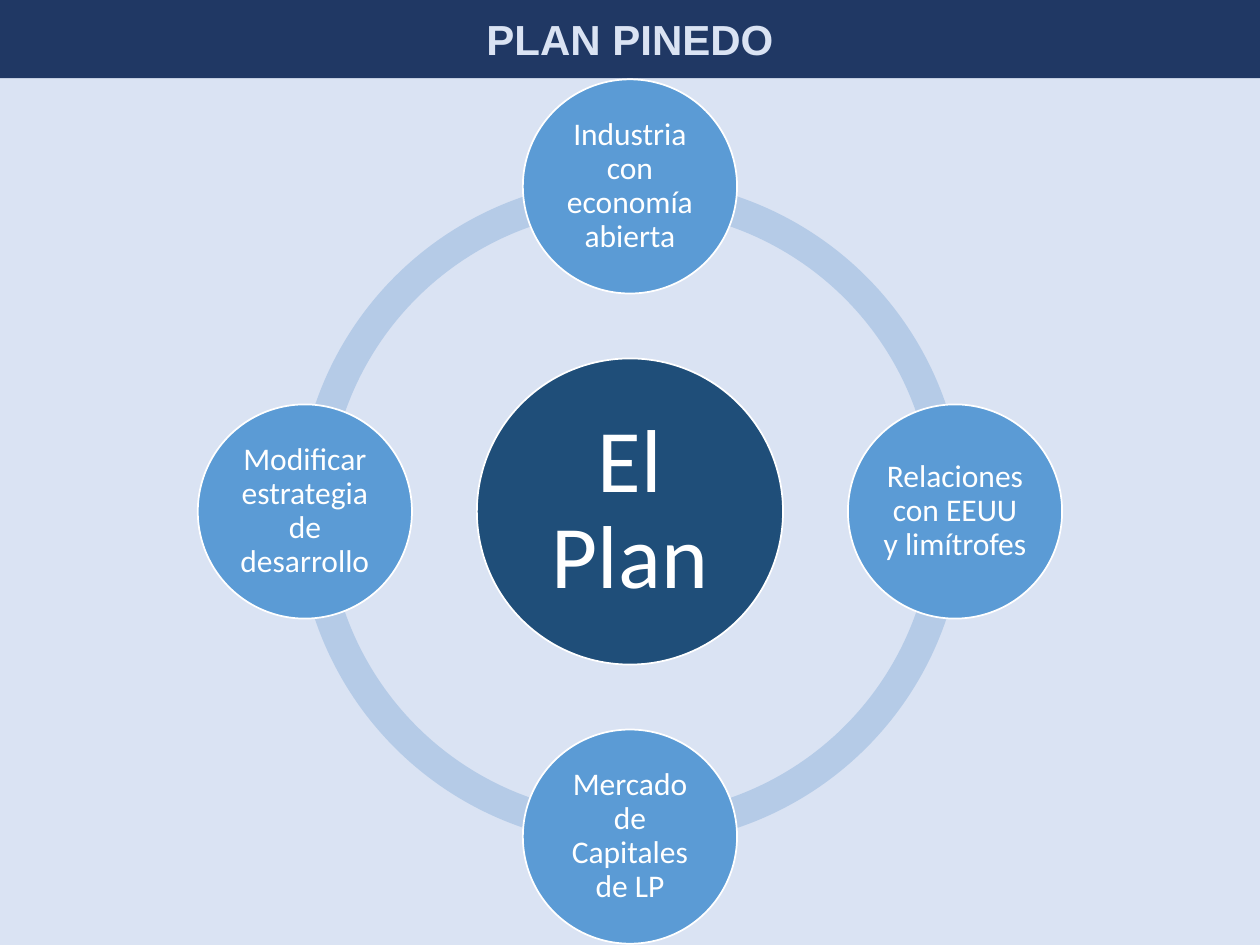
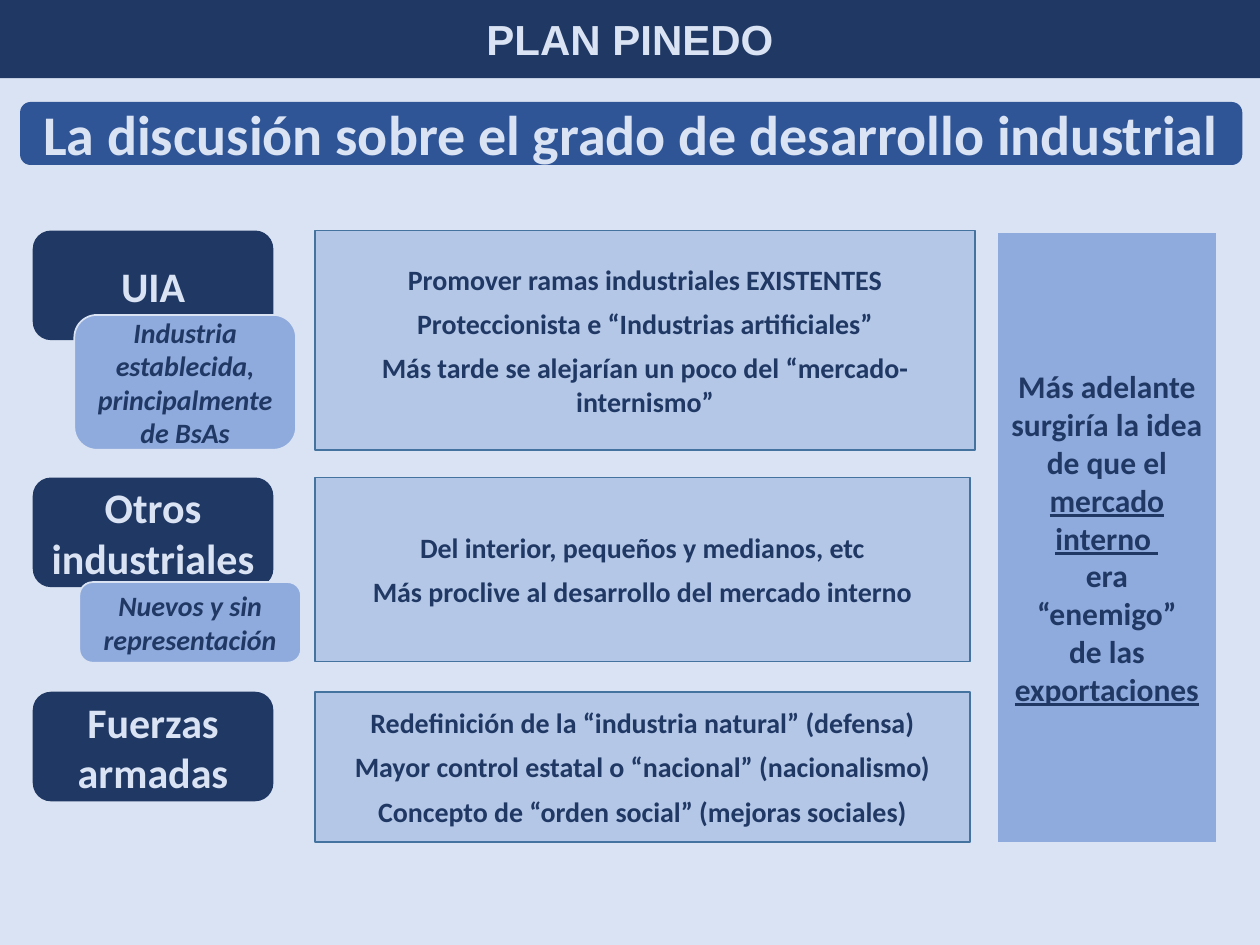
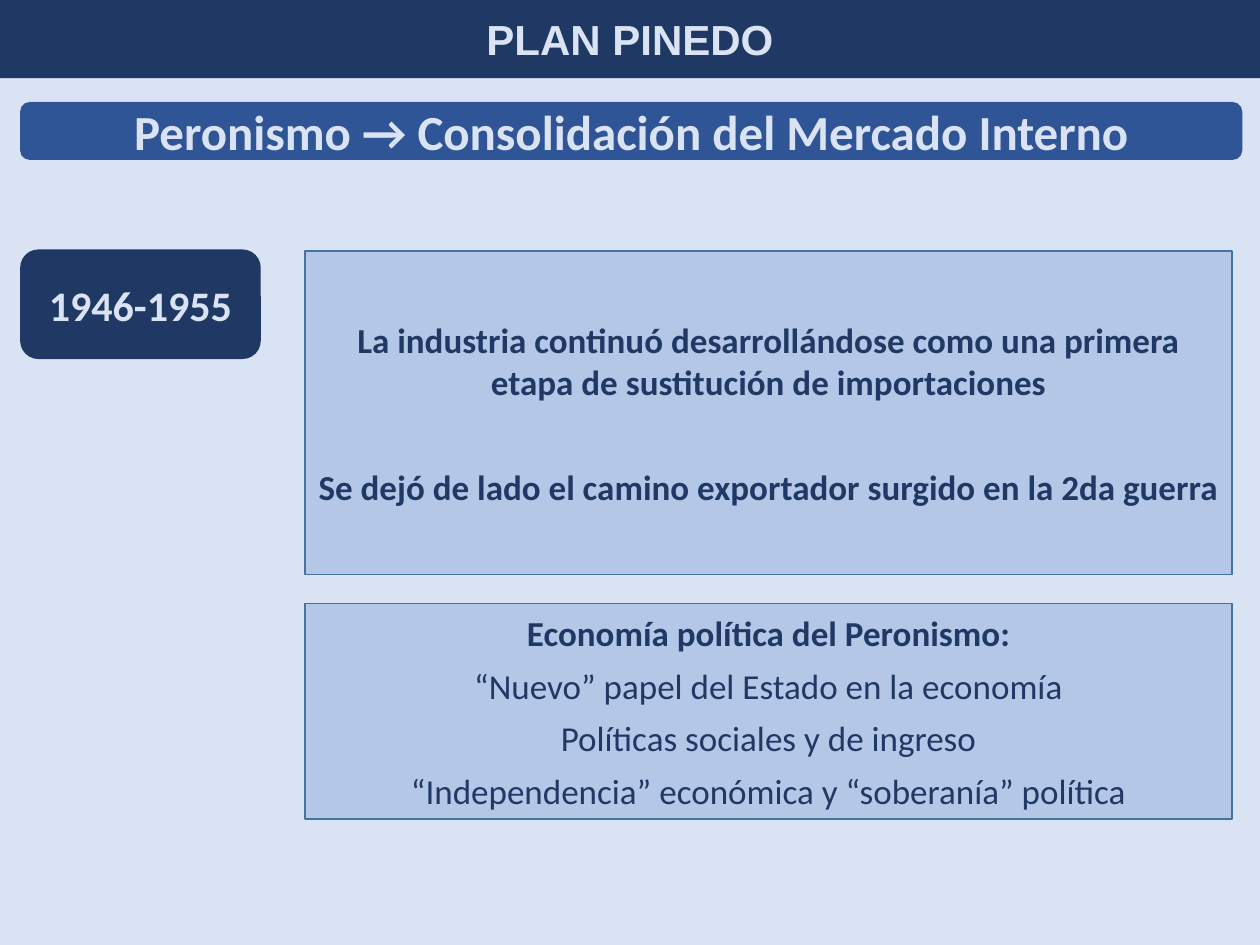
from pptx import Presentation
from pptx.dml.color import RGBColor
from pptx.enum.shapes import MSO_SHAPE
from pptx.enum.text import MSO_ANCHOR, MSO_AUTO_SIZE, PP_ALIGN
from pptx.util import Inches, Pt

HEX = {
    "pale": "DAE3F3", "navy": "203864", "royal": "2F5597", "soft": "8FAADC",
    "light": "B4C7E7", "edge": "43739E", "ring": "B5CBE7", "hub": "1F4E79",
    "node": "5B9BD5", "white": "FFFFFF",
}
RGB = {name: RGBColor.from_string(code) for name, code in HEX.items()}
RECT, ROUND, OVAL = MSO_SHAPE.RECTANGLE, MSO_SHAPE.ROUNDED_RECTANGLE, MSO_SHAPE.OVAL


def write(shape, lines, size, color, bold=True, face="Calibri", gap=0):
    frame = shape.text_frame
    frame.word_wrap = True
    frame.auto_size = MSO_AUTO_SIZE.NONE
    frame.vertical_anchor = MSO_ANCHOR.MIDDLE
    frame.text = "\n".join(lines)
    for i, para in enumerate(frame.paragraphs):
        para.alignment = PP_ALIGN.CENTER
        if i and gap:
            para.space_before = Pt(gap)
        font = para.font
        font.name, font.size, font.bold = face, Pt(size), bold
        font.color.rgb = RGB[color]
    return frame


def draw(slide, kind, spot, fill, edge=None):
    shape = slide.shapes.add_shape(kind, *[Inches(v) for v in spot])
    shape.shadow.inherit = False
    shape.fill.solid()
    shape.fill.fore_color.rgb = RGB[fill]
    if edge:
        shape.line.color.rgb = RGB[edge]
        shape.line.width = Pt(1)
    else:
        shape.line.fill.background()
    return shape


deck = Presentation()
deck.slide_width, deck.slide_height = Inches(10), Inches(7.5)
back = deck.slide_master.background.fill
back.solid()
back.fore_color.rgb = RGB["pale"]

slides = []
for n in range(3):
    slide = deck.slides.add_slide(deck.slide_layouts[5])
    title = slide.shapes.title
    title.left, title.top = Inches(0), Inches(0)
    title.width, title.height = Inches(10), Inches(0.62)
    title.fill.solid()
    title.fill.fore_color.rgb = RGB["navy"]
    write(title, ["PLAN PINEDO"], 24, "pale", face="Arial")
    slides.append(slide)
plan, debate, market = slides

for start, end in [(108, 162), (54, 108), (0, 54), (162, 0)]:
    arc = draw(plan, MSO_SHAPE.BLOCK_ARC, (2.36, 1.42, 5.29, 5.29), "ring")
    for i, value in enumerate((start, end, 0.046)):
        arc.adjustments[i] = value

mid_x, mid_y, reach = 5, 4.06, 2.58
discs = [
    ("El Plan", 0, 0, 2.43, "hub", 51, 0.07),
    ("Industria con economía abierta", 0, -1, 1.7, "node", 18, 0.03),
    ("Relaciones con EEUU y limítrofes", 1, 0, 1.7, "node", 18, 0.03),
    ("Mercado de Capitales de LP", 0, 1, 1.7, "node", 18, 0.03),
    ("Modificar estrategia de desarrollo", -1, 0, 1.7, "node", 18, 0.03),
]
for text, dx, dy, wide, fill, size, pad in discs:
    spot = (mid_x + dx * reach - wide / 2, mid_y + dy * reach - wide / 2, wide, wide)
    frame = write(draw(plan, OVAL, spot, fill, "white"), [text], size, "white", False)
    frame.margin_left = frame.margin_right = Inches(pad)
    frame.margin_top = frame.margin_bottom = Inches(pad)
    frame.paragraphs[0].line_spacing = 0.9

heads = [
    (debate, "La discusión sobre el grado de desarrollo industrial", 0.5, 32),
    (market, "Peronismo → Consolidación del Mercado Interno", 0.46, 28),
]
for slide, text, high, size in heads:
    write(draw(slide, ROUND, (0.16, 0.81, 9.7, high), "royal"), [text], size, "pale")

labels = [
    (debate, "UIA", 0.26, 1.83),
    (debate, "Otros industriales", 0.26, 3.79),
    (debate, "Fuerzas armadas", 0.26, 5.49),
    (market, "1946-1955", 0.16, 1.98),
]
for slide, text, left, top in labels:
    write(draw(slide, ROUND, (left, top, 1.91, 0.87), "navy"), [text], 24, "pale")

notes = [
    ("Industria establecida, principalmente de BsAs", (0.59, 2.5, 1.76, 1.07)),
    ("Nuevos y sin representación", (0.63, 4.62, 1.76, 0.64)),
]
for text, spot in notes:
    frame = write(draw(debate, ROUND, spot, "soft", "pale"), [text], 16, "navy")
    frame.paragraphs[0].font.italic = True

panels = [
    (debate, (2.5, 1.83, 5.24, 1.74), 16, [
        "Promover ramas industriales EXISTENTES",
        "Proteccionista e “Industrias artificiales”",
        "Más tarde se alejarían un poco del “mercado-internismo”"]),
    (debate, (2.5, 3.79, 5.2, 1.46), 16, [
        "Del interior, pequeños y medianos, etc",
        "Más proclive al desarrollo del mercado interno"]),
    (debate, (2.5, 5.49, 5.2, 1.19), 16, [
        "Redefinición de la “industria natural” (defensa)",
        "Mayor control estatal o “nacional” (nacionalismo)",
        "Concepto de “orden social” (mejoras sociales)"]),
    (market, (2.42, 1.99, 7.36, 2.57), 20, [
        "La industria continuó desarrollándose como una primera etapa "
        "de sustitución de importaciones",
        "Se dejó de lado el camino exportador surgido en la 2da guerra"]),
    (market, (2.42, 4.79, 7.36, 1.71), 20, [
        "Economía política del Peronismo:",
        "“Nuevo” papel del Estado en la economía",
        "Políticas sociales y de ingreso",
        "“Independencia” económica y “soberanía” política"]),
]
frames = []
for slide, spot, size, lines in panels:
    panel = draw(slide, RECT, spot, "light", "edge")
    frames.append(write(panel, lines, size, "navy", gap=6))
frames[3].paragraphs[1].space_before = Pt(36)
for para in frames[4].paragraphs[1:]:
    para.font.bold = False

side = draw(debate, RECT, (7.91, 1.84, 1.75, 4.85), "soft", "pale")
frame = write(side, [
    "Más adelante surgiría la idea de que el", "mercado interno ",
    "era", "“enemigo”", "de las "], 18, "navy")
frame.paragraphs[1].font.underline = True
last = frame.paragraphs[4].add_run()
last.text = "exportaciones"
last.font.underline = True

deck.save("out.pptx")
